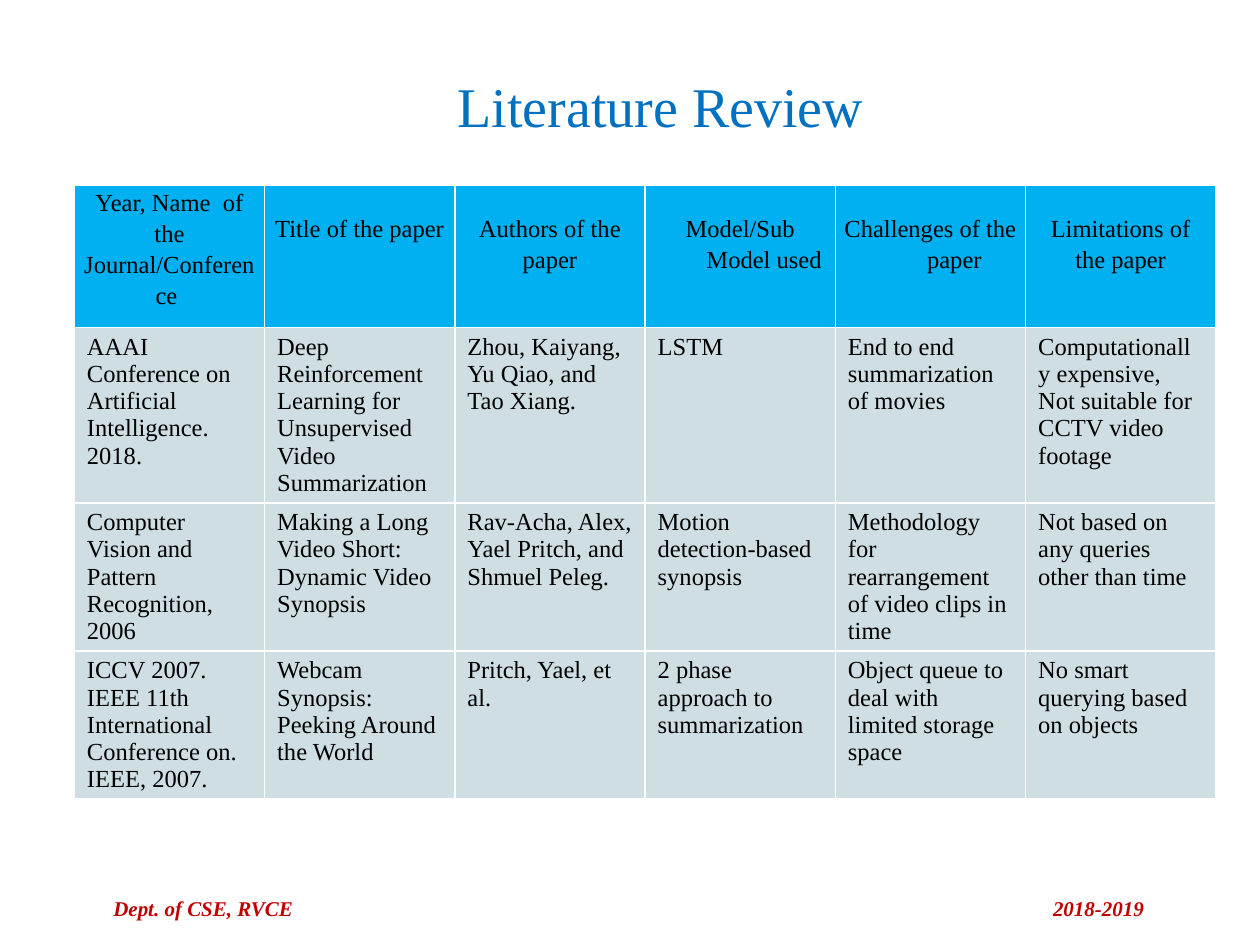
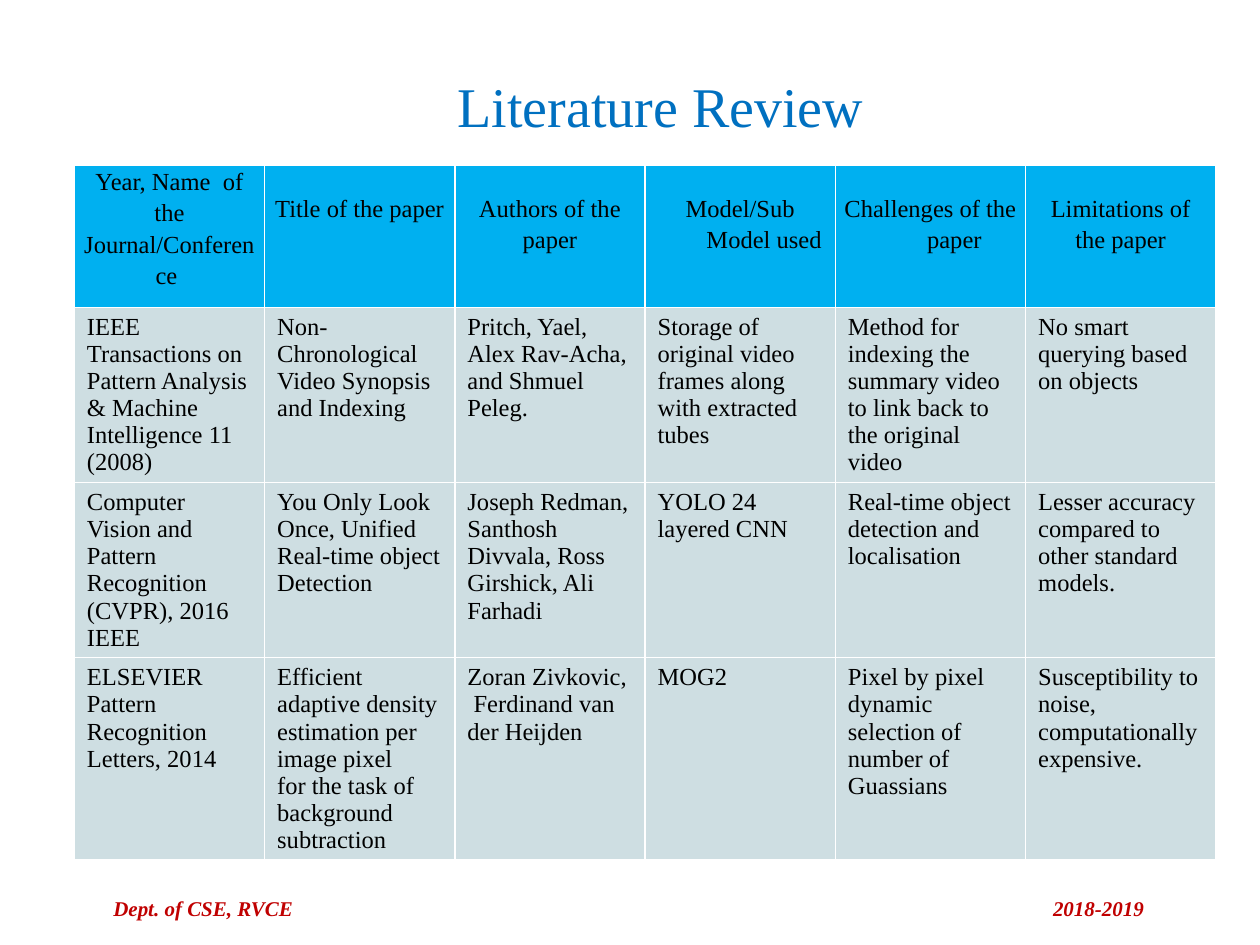
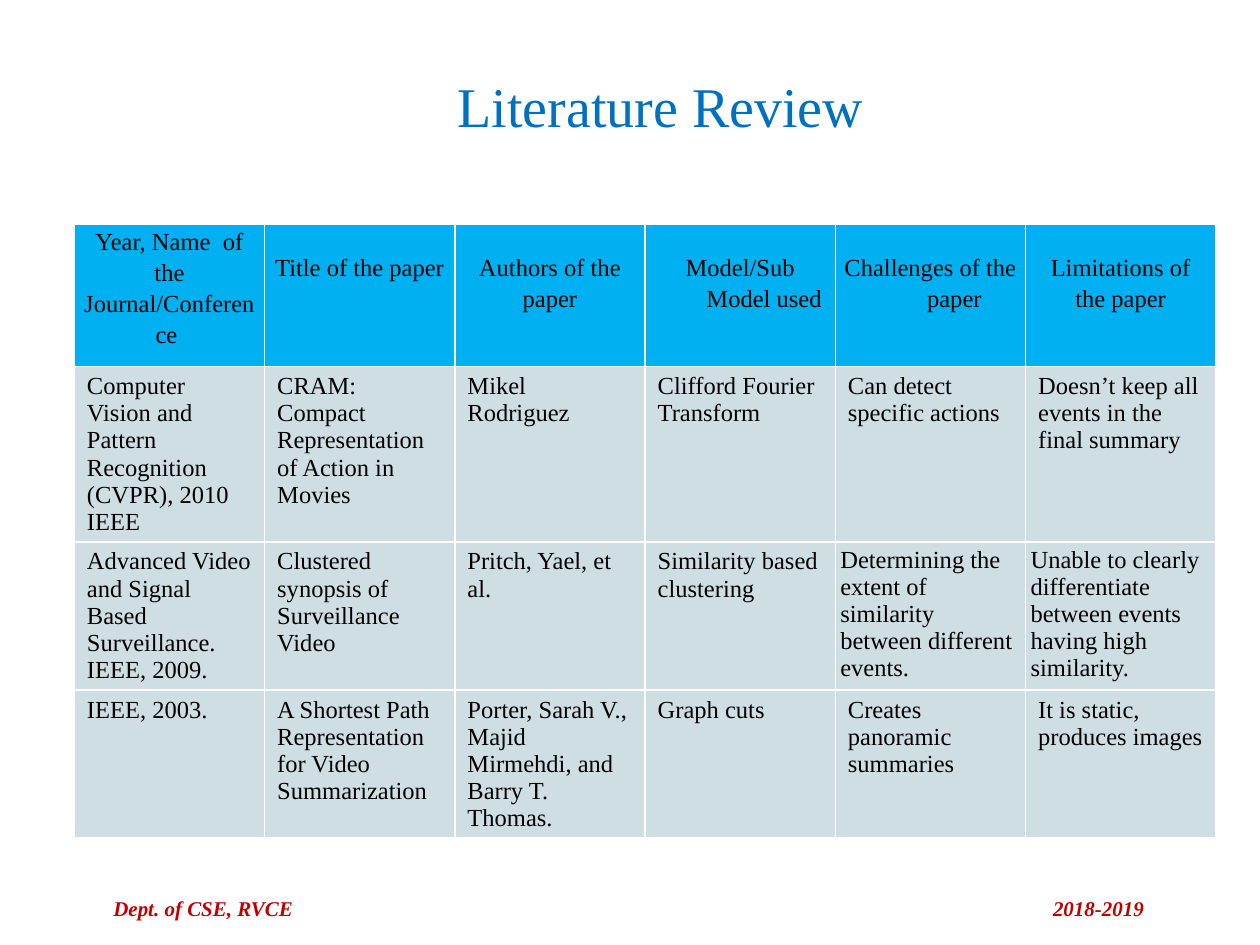
from lxml.etree import SubElement
from pptx import Presentation
from pptx.dml.color import RGBColor
from pptx.enum.text import MSO_ANCHOR, MSO_AUTO_SIZE, PP_ALIGN
from pptx.oxml.ns import qn
from pptx.util import Inches, Pt

TITLE = "Literature Review "
DEPARTMENT, YEARS = "Dept. of CSE, RVCE", "2018-2019"

HEADINGS = [
    "Year, Name  of the Journal/Conference ",
    "Title of the paper",
    "Authors of the paper",
    "Model/Sub Model used",
    "Challenges of the paper",
    "Limitations of the paper",
]
HANGING_HEADINGS = HEADINGS[3:5]

# Each review: table top, table height, papers
REVIEWS = [
    (1.47, 5.16, [
        ["AAAI Conference on Artificial Intelligence. 2018.",
         "Deep Reinforcement Learning for Unsupervised Video Summarization",
         "Zhou, Kaiyang, Yu Qiao, and Tao Xiang.",
         "LSTM",
         "End to end summarization of movies",
         "Computationally expensive, Not suitable for CCTV video footage"],
        ["Computer Vision and Pattern Recognition, 2006",
         "Making a Long Video Short: Dynamic Video Synopsis",
         "Rav-Acha, Alex, Yael Pritch, and Shmuel Peleg.",
         "Motion detection-based synopsis",
         "Methodology for rearrangement of video clips in time",
         "Not based on any queries other than time"],
        ["ICCV 2007. IEEE 11th International Conference on. IEEE, 2007.",
         "Webcam Synopsis: Peeking Around the World",
         "Pritch, Yael, et al.",
         "2 phase approach to summarization",
         "Object queue to deal with limited storage space",
         "No smart querying based on objects"],
    ]),
    (1.31, 6.1, [
        ["IEEE Transactions on Pattern Analysis & Machine Intelligence 11 (2008)",
         "Non-Chronological Video Synopsis and Indexing",
         "Pritch, Yael, Alex Rav-Acha, and Shmuel Peleg.",
         "Storage of original video frames along with extracted tubes",
         "Method for indexing the summary video to link back to the original video",
         "No smart querying based on objects"],
        ["Computer Vision and Pattern Recognition (CVPR), 2016\nIEEE",
         "You Only Look Once, Unified Real-time object Detection",
         "Joseph Redman, Santhosh Divvala, Ross Girshick, Ali Farhadi",
         "YOLO 24 layered CNN",
         "Real-time object detection and localisation",
         "Lesser accuracy compared to other standard models."],
        ["ELSEVIER Pattern Recognition Letters, 2014",
         "Efficient adaptive density estimation per image pixel\n"
         "for the task of background subtraction",
         "Zoran Zivkovic,  Ferdinand van der Heijden",
         "MOG2",
         "Pixel by pixel dynamic selection of number of Guassians",
         "Susceptibility to noise, computationally expensive."],
    ]),
    (1.78, 5.16, [
        ["Computer Vision and Pattern Recognition (CVPR), 2010\nIEEE",
         "CRAM: Compact Representation of Action in Movies",
         "Mikel Rodriguez",
         "Clifford Fourier Transform",
         "Can detect specific actions",
         "Doesn’t keep all events in the final summary"],
        ["Advanced Video and Signal Based Surveillance. IEEE, 2009.",
         "Clustered synopsis of Surveillance Video",
         "Pritch, Yael, et al.",
         "Similarity based clustering",
         "Determining the extent of similarity between different events.",
         "Unable to clearly differentiate between events having high similarity."],
        ["IEEE, 2003.",
         "A Shortest Path Representation for Video Summarization",
         "Porter, Sarah V., Majid Mirmehdi, and Barry T. Thomas.",
         "Graph cuts",
         "Creates panoramic summaries",
         "It is static, produces images"],
    ]),
]
TIGHT_CELLS = [REVIEWS[2][2][1][column] for column in (4, 5)]

FONT = "Times New Roman"
BLACK, TITLE_BLUE, FOOTER_RED = "000000", "0070C0", "C00000"
HEADING_FILL, PAPER_FILL = "00B0F0", "CEDEE2"
SLIDE_WIDTH, SLIDE_HEIGHT = 10, 7.5
TABLE_LEFT, COLUMN_WIDTH = 0.59, 1.51
HEADING_HEIGHT, PAPER_MIN_HEIGHT = 1.13, 0.82
FOOTER_INDENT, FOOTER_SPAN = 0.9, 8.18
HEADING_DROP, HANGING_INDENT = 0.21, 0.38


def rgb(color):
    return RGBColor.from_string(color)


def style(paragraph, size, color, bold=False, italic=False):
    font = paragraph.font
    font.name, font.size, font.color.rgb = FONT, Pt(size), rgb(color)
    font.bold, font.italic = bold, italic


def set_insets(holder, left, top, right, bottom):
    holder.margin_left, holder.margin_top = Inches(left), Inches(top)
    holder.margin_right, holder.margin_bottom = Inches(right), Inches(bottom)


def add_title(slide):
    title = slide.shapes.title
    title.left, title.top = Inches(0.8), Inches(0.52)
    title.width, title.height = Inches(9), Inches(0.87)
    frame = title.text_frame
    frame.text = TITLE
    frame.auto_size = MSO_AUTO_SIZE.NONE
    frame.vertical_anchor = MSO_ANCHOR.TOP
    set_insets(frame, 0.1, 0.05, 0.1, 0.05)
    frame.paragraphs[0].alignment = PP_ALIGN.CENTER
    style(frame.paragraphs[0], 32, TITLE_BLUE)


def add_footer(slide):
    """Department at the left, years against a right tab stop."""
    footer = slide.shapes.add_textbox(
        0, Inches(7.06), Inches(SLIDE_WIDTH), Inches(0.39)).text_frame
    footer.word_wrap = True
    set_insets(footer, FOOTER_INDENT, 0.05, 0.1, 0.05)
    line = footer.paragraphs[0]
    line.text = f"{DEPARTMENT}\t{YEARS}"
    tabs = SubElement(line._p.get_or_add_pPr(), qn("a:tabLst"))
    SubElement(tabs, qn("a:tab"), pos=str(Inches(FOOTER_SPAN)), algn="r")
    style(line, 12, FOOTER_RED, bold=True, italic=True)


def fill_cell(cell, text, color):
    cell.text = text
    cell.fill.solid()
    cell.fill.fore_color.rgb = rgb(color)
    for paragraph in cell.text_frame.paragraphs:
        style(paragraph, 14, BLACK)


def fill_heading(cell, heading):
    fill_cell(cell, heading, HEADING_FILL)
    drop = 0 if heading == HEADINGS[0] else HEADING_DROP
    set_insets(cell, 0.07, drop, 0.07, 0)
    paragraph = cell.text_frame.paragraphs[0]
    paragraph.alignment = PP_ALIGN.CENTER
    paragraph.line_spacing = 1.15
    if heading in HANGING_HEADINGS:
        properties = paragraph._p.get_or_add_pPr()
        properties.set("marL", str(Inches(HANGING_INDENT)))
        properties.set("indent", str(-Inches(HANGING_INDENT)))


def add_review(slide, top, height, papers):
    """Rows start at their least height and grow to fit their text."""
    frame = slide.shapes.add_table(
        1 + len(papers), len(HEADINGS), Inches(TABLE_LEFT), Inches(top),
        Inches(COLUMN_WIDTH * len(HEADINGS)), Inches(height))
    table = frame.table
    for row in table.rows:
        row.height = Inches(PAPER_MIN_HEIGHT)
    table.rows[0].height = Inches(HEADING_HEIGHT)
    frame.height = Inches(height)
    for column, heading in enumerate(HEADINGS):
        fill_heading(table.cell(0, column), heading)
    for row, paper in enumerate(papers, 1):
        for column, detail in enumerate(paper):
            cell = table.cell(row, column)
            fill_cell(cell, detail, PAPER_FILL)
            if detail in TIGHT_CELLS:
                set_insets(cell, 0.04, 0.04, 0.04, 0.04)


def main():
    deck = Presentation()
    deck.slide_width, deck.slide_height = Inches(SLIDE_WIDTH), Inches(SLIDE_HEIGHT)
    title_only = deck.slide_layouts[5]
    for review in REVIEWS:
        slide = deck.slides.add_slide(title_only)
        add_review(slide, *review)
        add_footer(slide)
        add_title(slide)
    deck.save("out.pptx")


if __name__ == "__main__":
    main()
